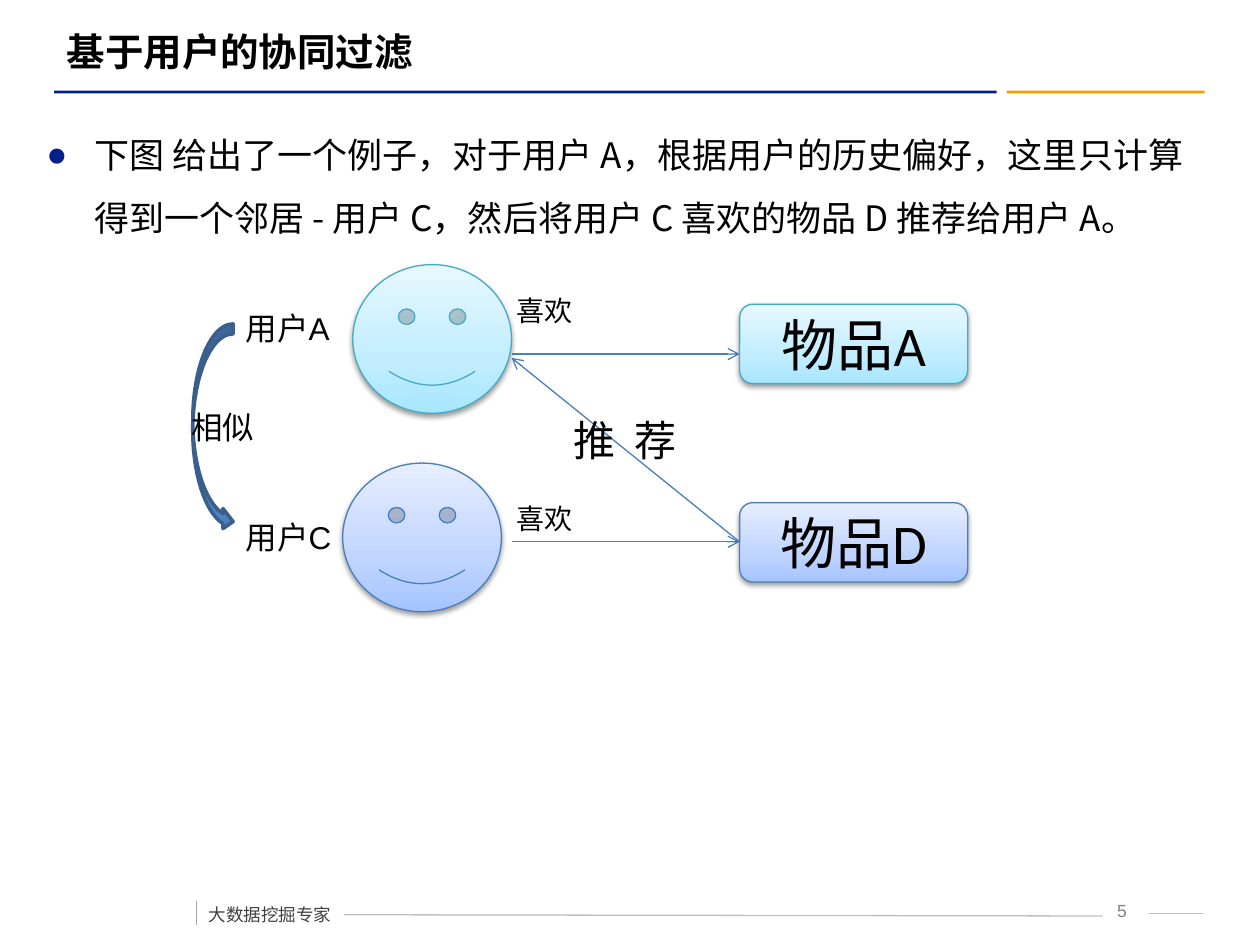
from lxml import etree
from pptx import Presentation
from pptx.dml.color import RGBColor
from pptx.enum.shapes import MSO_CONNECTOR, MSO_SHAPE
from pptx.enum.text import MSO_ANCHOR, PP_ALIGN
from pptx.oxml import parse_xml
from pptx.oxml.ns import nsdecls, qn
from pptx.util import Emu, Inches, Pt

LEFT, CENTER = PP_ALIGN.LEFT, PP_ALIGN.CENTER
MIDDLE = MSO_ANCHOR.MIDDLE
STRAIGHT = MSO_CONNECTOR.STRAIGHT
ROUNDED, SMILEY = MSO_SHAPE.ROUNDED_RECTANGLE, MSO_SHAPE.SMILEY_FACE
CURVED_ARROW = MSO_SHAPE.CURVED_RIGHT_ARROW
CJK = "Noto Sans CJK SC"
CYAN = ("46AAC5", ("A7E6FF", "C1EDFF", "E7F8FF"))
BLUE = ("4B7EBC", ("A4C4FF", "BFD4FF", "E6EEFF"))

prs = Presentation()
prs.slide_width, prs.slide_height = Inches(10), Inches(7.5)
COL, ROW = prs.slide_width / 100, prs.slide_height / 75


def rgb(value):
    """Turn a hex string into a colour."""
    return RGBColor.from_string(value)


def place(origin, x, y, w, h):
    """Convert grid columns and rows from an origin into lengths."""
    return (Emu(int((origin[0] + x) * COL)), Emu(int((origin[1] + y) * ROW)),
            Emu(int(w * COL)), Emu(int(h * ROW)))


def style(p, size, font="Arial", color="000000", bold=False, align=LEFT):
    """Format a paragraph and name its East Asian font."""
    p.alignment = align
    p.font.size, p.font.name, p.font.bold = Pt(size), font, bold
    p.font.color.rgb = rgb(color)
    for r in p.runs:
        r.font.size = Pt(size)
        etree.SubElement(r._r.get_or_add_rPr(), qn("a:ea"), typeface=CJK)


def text(s, origin, box, words, size, wrap=True, **look):
    """Add a text box and return its paragraph."""
    tf = s.shapes.add_textbox(*place(origin, *box)).text_frame
    tf.word_wrap = wrap
    p = tf.paragraphs[0]
    p.text = words
    style(p, size, **look)
    return p


def line(s, origin, start, end, color, arrow=False):
    """Draw a straight line, with an open arrowhead if asked."""
    x1, y1, x2, y2 = place(origin, *start, 0, 0)[:2] + place(origin, *end, 0, 0)[:2]
    c = s.shapes.add_connector(STRAIGHT, x1, y1, x2, y2)
    c.line.color.rgb, c.line.width = rgb(color), Pt(0.75)
    sp_pr = c._element.spPr
    if arrow:
        etree.SubElement(sp_pr.find(qn("a:ln")), qn("a:tailEnd"), type="arrow")
    etree.SubElement(sp_pr, qn("a:effectLst"))


def shape(s, origin, kind, box, fill, outline=None, width=0.75):
    """Add a flat preset shape."""
    sp = s.shapes.add_shape(kind, *place(origin, *box))
    sp.fill.solid()
    sp.fill.fore_color.rgb = rgb(fill)
    if outline:
        sp.line.color.rgb, sp.line.width = rgb(outline), Pt(width)
    else:
        sp.line.fill.background()
    sp.shadow.inherit = False
    return sp


def glossy(s, origin, kind, box, palette):
    """Add a shape with a rising gradient and a soft shadow."""
    outline, colors = palette
    sp = shape(s, origin, kind, box, colors[0], outline)
    sp_pr = sp._element.spPr
    stops = "".join(f'<a:gs pos="{pos}000"><a:srgbClr val="{c}"/></a:gs>'
                    for pos, c in zip((0, 35, 100), colors))
    sp_pr.replace(sp_pr.find(qn("a:solidFill")), parse_xml(
        f'<a:gradFill {nsdecls("a")} rotWithShape="1"><a:gsLst>{stops}</a:gsLst>'
        '<a:lin ang="16200000" scaled="0"/></a:gradFill>'))
    sp_pr.find(qn("a:effectLst")).append(parse_xml(
        f'<a:outerShdw {nsdecls("a")} blurRad="39400" dist="20300" dir="5400000" '
        'rotWithShape="0"><a:srgbClr val="000000"><a:alpha val="38000"/>'
        '</a:srgbClr></a:outerShdw>'))
    return sp


def header(s, origin, words):
    """Place the title and the two-colour rule below it."""
    title = s.shapes.title
    title.left, title.top, title.width, title.height = place(origin, 0, 0, 91, 4.7)
    tf = title.text_frame
    tf.text, tf.vertical_anchor = words, MIDDLE
    style(tf.paragraphs[0], 22, bold=True)
    for x, w, color in ((75.6, 15.7, "F5A000"), (0, 74.8, "031D89")):
        shape(s, origin, ROUNDED, (x, 5.5, w, 0.2), color)


def bullet(s, origin, words):
    """Place the bulleted introduction."""
    p = text(s, origin, (0, 0, 92.9, 9.3), words, 20, font=CJK)
    p.line_spacing, p.space_before = 1.5, Pt(4)
    p_pr = p._p.get_or_add_pPr()
    p_pr.set("marL", str(Inches(0.38)))
    p_pr.set("indent", str(-Inches(0.38)))
    marks = parse_xml(f'<a:pPr {nsdecls("a")}><a:buClr><a:srgbClr val="032089"/></a:buClr>'
                      '<a:buFont typeface="Arial"/><a:buChar char="●"/></a:pPr>')
    defaults = p_pr.find(qn("a:defRPr"))
    for mark in list(marks):
        defaults.addprevious(mark)


def user_row(s, origin, name, item, palette, face_x, label_y, like_y, arrow_y):
    """Place one user, the liked item and the arrow between them."""
    glossy(s, origin, SMILEY, (face_x, 0, 12.6, 11.8), palette)
    line(s, origin, (26.4, arrow_y), (44.5, arrow_y), BLUE[0], arrow=True)
    box = glossy(s, origin, ROUNDED, (44.5, 3.15, 18.1, 6.3), palette)
    tf = box.text_frame
    tf.text, tf.vertical_anchor = item, MIDDLE
    style(tf.paragraphs[0], 32, font="Calibri", align=CENTER)
    text(s, origin, (4.3, label_y, 10.2, 4), name, 18)
    text(s, origin, (25.8, like_y, 9.2, 3.7), "喜欢", 16)


def diagram(s, origin):
    """Place both users, their similarity and the recommendation."""
    x, y = origin
    user_row(s, origin, "用户A", "物品A", CYAN, 13.8, 3, 1.8, 7.1)
    user_row(s, (x, y + 15.75), "用户C", "物品D", BLUE, 13, 3.9, 2.55, 6.25)
    shape(s, origin, CURVED_ARROW, (1.1, 4.7, 3.2, 16.5), "4F81BD", "3A5F8C", 2)
    text(s, origin, (0, 10.9, 8.3, 4), "相似", 18)
    line(s, origin, (44.5, 22), (26.4, 7.4), BLUE[0], arrow=True)
    p = text(s, origin, (30.3, 11.4, 11.8, 5.1), "推 荐", 24)
    p.runs[0]._r.get_or_add_rPr().set("spc", "300")


def footer(s, origin, words, number):
    """Place the footer words, the page number and the thin rules."""
    line(s, origin, (11.7, 2.2), (71.9, 2.3), "BFBFBF")
    line(s, origin, (75.6, 2.1), (79.9, 2.1), "BFBFBF")
    line(s, origin, (0, 1.1), (0, 3), "A6A6A6")
    p = text(s, origin, (0, 0, 11.8, 3.5), words, 10, wrap=False, font=CJK, color="404040")
    p.line_spacing, p.space_before = 1.5, Pt(6)
    text(s, origin, (71.1, 0.5, 4.7, 2.5), number, 10, color="7F7F7F", align=CENTER)


s = prs.slides.add_slide(prs.slide_layouts[5])
header(s, (4.3, 1.7), "基于用户的协同过滤")
bullet(s, (2.7, 8.4), "下图 给出了一个例子，对于用户 A，根据用户的历史偏好，这里只计算得到一个邻居 - "
       "用户 C，然后将用户 C 喜欢的物品 D 推荐给用户 A。")
diagram(s, (14.2, 21))
footer(s, (15.6, 70.4), "大数据挖掘专家", "5")
prs.save("out.pptx")
